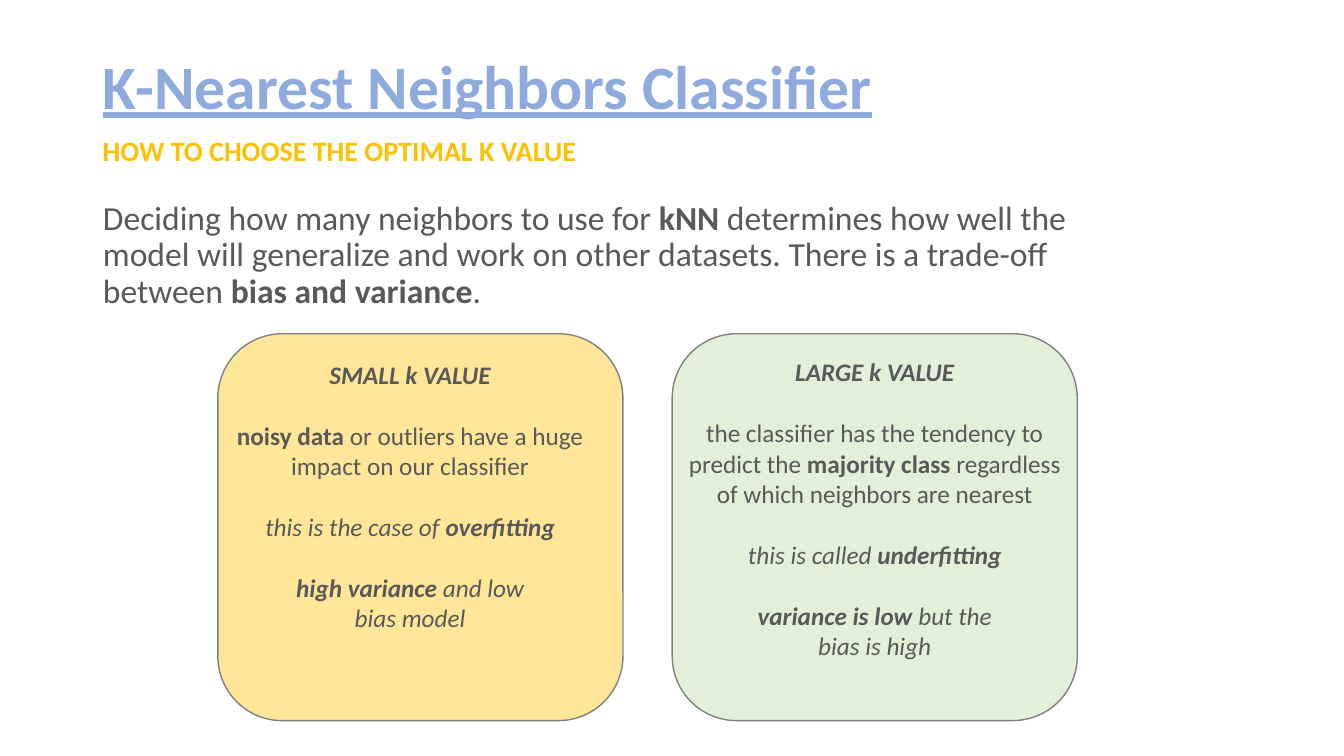
from pptx import Presentation
from pptx.dml.color import RGBColor
from pptx.enum.shapes import MSO_SHAPE
from pptx.enum.text import MSO_ANCHOR, MSO_AUTO_SIZE, PP_ALIGN
from pptx.oxml.ns import qn
from pptx.util import Cm, Pt

ROUND = MSO_SHAPE.ROUNDED_RECTANGLE
TOP, MIDDLE = MSO_ANCHOR.TOP, MSO_ANCHOR.MIDDLE
FIXED, GROW = MSO_AUTO_SIZE.NONE, MSO_AUTO_SIZE.SHAPE_TO_FIT_TEXT
LEFT, CENTER = PP_ALIGN.LEFT, PP_ALIGN.CENTER

FONT = "Calibri"
GRAY = "595959"
EDGE = 2.34   # shared left edge, cm
GAP = 22      # space between text groups, points

# Each card: groups of lines, each line a list of (text, style) runs
SMALL = [
    [[("SMALL k VALUE", "bi")]],
    [[("noisy data", "b"), (" or outliers have a huge", "")],
     [("impact on our classifier", "")]],
    [[("this is the case of ", "i"), ("overfitting", "bi")]],
    [[("high variance ", "bi"), ("and low", "i")],
     [("bias model", "i")]],
]
LARGE = [
    [[("LARGE k VALUE", "bi")]],
    [[("the classifier has the tendency to", "")],
     [("predict the ", ""), ("majority class ", "b"), ("regardless", "")],
     [("of which neighbors are nearest", "")]],
    [[("this is called ", "i"), ("underfitting", "bi")]],
    [[("variance is low ", "bi"), ("but the", "i")],
     [("bias is high", "i")]],
]
INTRO = [
    ("Deciding how many neighbors to use for ", ""),
    ("kNN", "b"),
    (" determines how well the model will generalize and work on other "
     "datasets. There is a trade-off between ", ""),
    ("bias and variance", "b"),
    (".", ""),
]


def color(code):
    return RGBColor.from_string(code)


def place(shape, left, top, width, height):
    shape.left, shape.top = Cm(left), Cm(top)
    shape.width, shape.height = Cm(width), Cm(height)


def write(frame, groups, size, tint=GRAY, align=LEFT, line=None,
          wrap=True, fit=FIXED, anchor=TOP):
    """Fill a frame with groups of lines; style letters are b, i and u."""
    frame.word_wrap, frame.auto_size = wrap, fit
    frame.vertical_anchor = anchor
    par = None
    for group in groups:
        for row, runs in enumerate(group):
            first = par is None
            par = frame.paragraphs[0] if first else frame.add_paragraph()
            par.alignment = align
            par.space_before = Pt(GAP if row == 0 and not first else 0)
            if line:
                par.line_spacing = line
            for text, style in runs:
                run = par.add_run()
                run.text = text
                font = run.font
                font.name, font.size = FONT, Pt(size)
                font.color.rgb = color(tint)
                font.bold, font.italic = "b" in style, "i" in style
                font.underline = "u" in style


def label(slide, at, groups, size, **style):
    box = slide.shapes.add_textbox(*map(Cm, at))
    write(box.text_frame, groups, size, wrap=False, fit=GROW, **style)


def panel(slide, left, fill):
    card = slide.shapes.add_shape(ROUND, Cm(left), Cm(8.41), Cm(10.21), Cm(9.75))
    card.shadow.inherit = False
    card.fill.solid()
    card.fill.fore_color.rgb = color(fill)
    card.line.color.rgb = color("808080")
    card.line.width = Pt(1)


def plain(par):
    """Remove the bullet and its indent from a list paragraph."""
    props = par._p.get_or_add_pPr()
    props.set("marL", "0")
    props.set("indent", "0")
    props.append(props.makeelement(qn("a:buNone"), {}))


def main():
    deck = Presentation()
    deck.slide_width, deck.slide_height = Cm(33.87), Cm(19.05)
    slide = deck.slides.add_slide(deck.slide_layouts[1])

    # Title and introduction
    title, body = slide.placeholders
    place(title, EDGE, 0.41, 29.21, 3.68)
    write(title.text_frame, [[[("K-Nearest Neighbors Classifier", "bu")]]], 44,
          tint="8FAADC", line=0.9, anchor=MIDDLE)
    place(body, EDGE, 4.95, 26.39, 11.66)
    plain(body.text_frame.paragraphs[0])
    write(body.text_frame, [[INTRO]], 24, line=0.9)

    # Subtitle
    label(slide, (EDGE, 3.23, 12.55, 1.12),
          [[[("HOW TO CHOOSE THE OPTIMAL K VALUE", "b")]]], 20, tint="FFC000")

    # Cards and their text
    panel(slide, 5.49, "FFE699")
    panel(slide, 16.94, "E2F0D9")
    label(slide, (5.66, 8.92, 9.35, 8.71), SMALL, 18, align=CENTER)
    label(slide, (16.99, 8.86, 10.11, 7.95), LARGE, 18, align=CENTER)

    deck.save("out.pptx")


if __name__ == "__main__":
    main()
